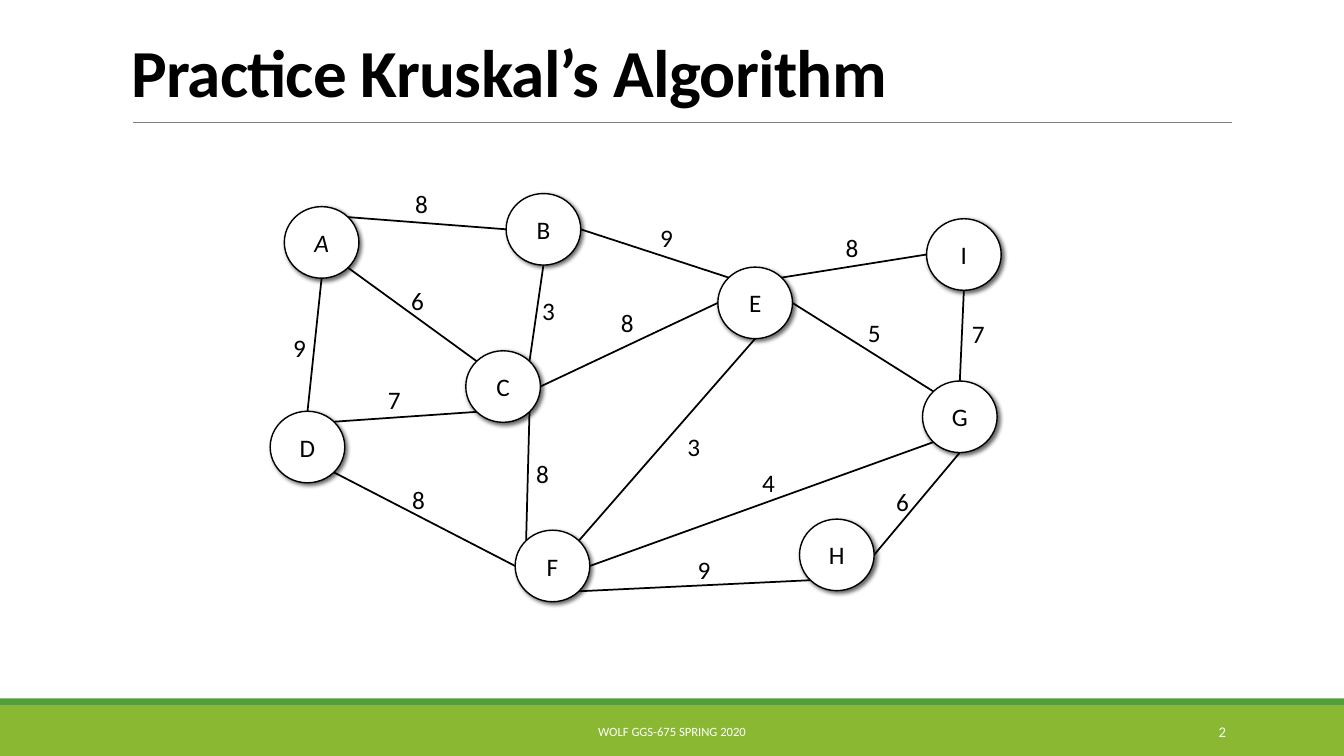
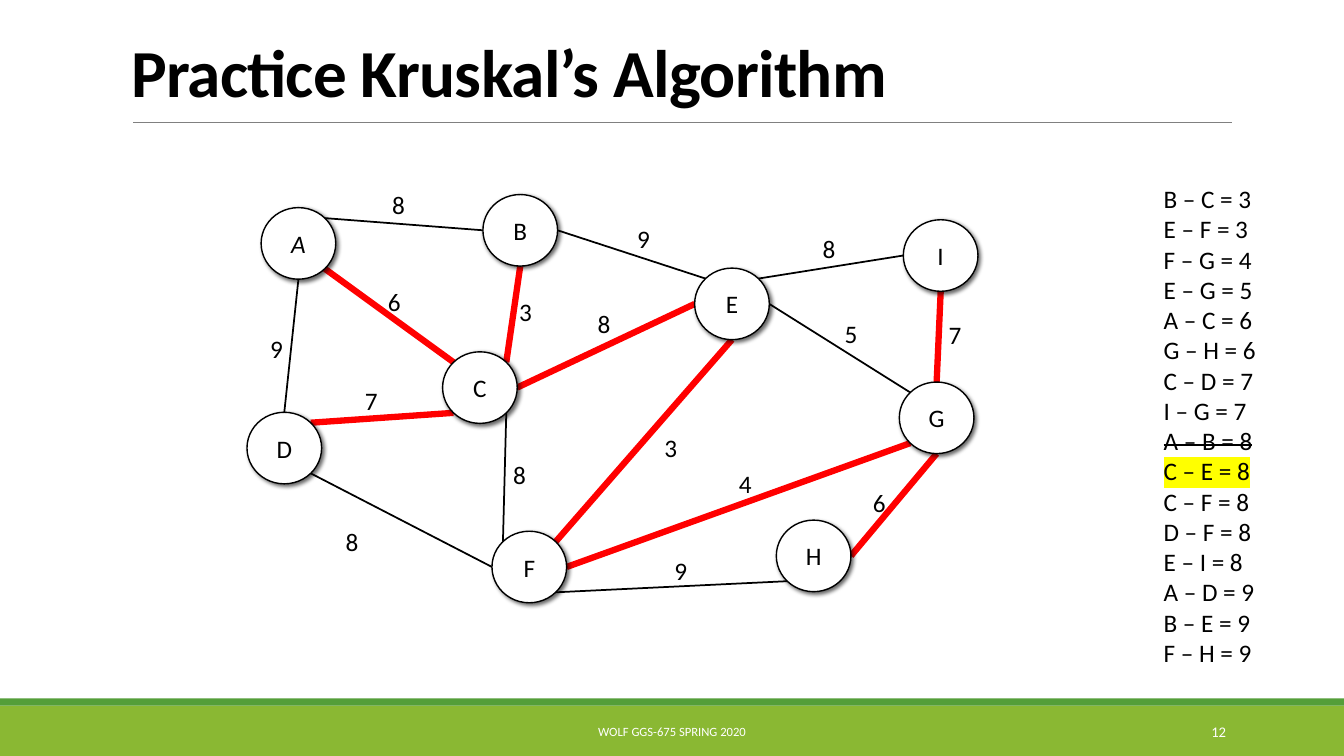
"""Build two slides that practise Kruskal's algorithm on a weighted graph."""
import math
from dataclasses import dataclass

import pptx
import pptx.dml.color
import pptx.enum.shapes
import pptx.enum.text
import pptx.oxml.ns
import pptx.util
from lxml import etree

Inches = pptx.util.Inches
Pt = pptx.util.Pt
qn = pptx.oxml.ns.qn
ALIGN = pptx.enum.text.PP_ALIGN
ANCHOR = pptx.enum.text.MSO_ANCHOR
SHAPE = pptx.enum.shapes.MSO_SHAPE


@dataclass(frozen=True)
class Theme:
    font: str = "Calibri"
    ink: str = "000000"
    paper: str = "FFFFFF"
    band: str = "8AB833"
    stripe: str = "549E39"
    rule: str = "808080"
    tree: str = "FF0000"
    mark: str = "FFFF00"
    title_size: float = 48
    text_size: float = 18
    footer_size: float = 9
    number_size: float = 10.5
    rule_width: float = 0.5
    node_width: float = 1
    edge_width: float = 1.25
    tree_width: float = 4.5


TITLE = "Practice Kruskal’s Algorithm"
FOOTER = "WOLF GGS-675 SPRING 2020"
NODE_W, NODE_H = 0.74, 0.71
SITES = ["t", "tl", "l", "bl", "b", "br", "r", "tr"]

NODES = {
    "A": (2.82, 2.05), "B": (5.02, 1.92), "C": (4.62, 3.48),
    "D": (2.68, 4.08), "E": (7.12, 2.65), "F": (5.11, 5.26),
    "G": (9.15, 3.78), "H": (7.93, 5.15), "I": (9.19, 2.17),
}
EDGES = [
    ("AD", "b", "t", 9, (2.81, 3.25)),
    ("AB", "tr", "l", 8, (4.02, 1.82)),
    ("AC", "br", "tl", 6, (3.98, 2.78)),
    ("BC", "b", "tr", 3, (5.28, 2.88)),
    ("DC", "tr", "bl", 7, (3.75, 3.76)),
    ("DF", "br", "l", 8, (3.99, 4.76)),
    ("BE", "r", "tl", 9, (6.45, 2.16)),
    ("CF", "br", "tl", 8, (5.22, 4.5)),
    ("CE", "r", "l", 8, (6.06, 3)),
    ("FE", "tr", "b", 3, (6.72, 4.23)),
    ("EG", "r", "tl", 5, (8.51, 3.1)),
    ("FG", "r", "bl", 4, (7.46, 4.59)),
    ("EI", "tr", "l", 8, (8.29, 2.26)),
    ("IG", "b", "t", 7, (9.54, 3.11)),
    ("GH", "b", "r", 6, (8.79, 4.78)),
    ("FH", "br", "bl", 9, (6.82, 5.45)),
]
TREE = {"AC", "BC", "DC", "CE", "FE", "FG", "IG", "GH"}
SORTED_EDGES = [
    "B – C = 3", "E – F = 3", "F – G = 4", "E – G = 5",
    "A – C = 6", "G – H = 6", "C – D = 7", "I – G = 7",
    "A – B = 8", "C – E = 8", "C – F = 8", "D – F = 8",
    "E – I = 8", "A – D = 9", "B – E = 9", "F – H = 9",
]


def rgb(color):
    return pptx.dml.color.RGBColor.from_string(color)


def site_point(left, top, site):
    angle = math.radians(90 + 45 * SITES.index(site))
    return (left + NODE_W / 2 * (1 + math.cos(angle)),
            top + NODE_H / 2 * (1 - math.sin(angle)))


class Deck:
    def __init__(self, theme):
        self.theme = theme
        self.prs = pptx.Presentation()
        self.prs.slide_width = Inches(13.33)
        self.prs.slide_height = Inches(7.5)
        self.slide = None

    def place(self, sp, left, top, width, height):
        sp.left, sp.top = Inches(left), Inches(top)
        sp.width, sp.height = Inches(width), Inches(height)

    def run(self, p, text, size, color, bold=False, italic=False):
        r = p.add_run()
        r.text = text
        r.font.name = self.theme.font
        r.font.size = Pt(size)
        r.font.bold = bold
        r.font.italic = italic
        r.font.color.rgb = rgb(color)
        return r

    def frame(self, sp, anchor, wrap=True):
        tf = sp.text_frame
        tf.auto_size = pptx.enum.text.MSO_AUTO_SIZE.NONE
        tf.word_wrap = wrap
        tf.vertical_anchor = anchor
        return tf

    def add_slide(self, number, with_list=False):
        layout = self.prs.slide_layouts[1 if with_list else 5]
        self.slide = self.prs.slides.add_slide(layout)
        th = self.theme
        self.band(7, 0.5, th.band)
        self.band(6.93, 0.07, th.stripe)
        self.line((1.32, 1.21), (12.22, 1.21), th.rule, th.rule_width)
        self.title(TITLE)
        self.text(FOOTER, (4.03, 7.06, 5.27, 0.4), th.footer_size, th.paper,
                  ALIGN.CENTER, ANCHOR.MIDDLE)
        self.text(number, (10.83, 7.06, 1.43, 0.4), th.number_size, th.paper,
                  ALIGN.RIGHT, ANCHOR.MIDDLE)

    def band(self, top, height, color):
        sp = self.slide.shapes.add_shape(
            SHAPE.RECTANGLE, 0, Inches(top), self.prs.slide_width, Inches(height))
        sp.shadow.inherit = False
        sp.fill.solid()
        sp.fill.fore_color.rgb = rgb(color)
        sp.line.fill.background()

    def title(self, text):
        sp = self.slide.shapes.title
        self.place(sp, 1.2, 0.34, 11, 0.81)
        p = self.frame(sp, ANCHOR.BOTTOM).paragraphs[0]
        p.alignment = ALIGN.LEFT
        p.line_spacing = 0.85
        r = self.run(p, text, self.theme.title_size, self.theme.ink, bold=True)
        r.font._element.set("spc", "-50")

    def text(self, text, box, size, color, align=ALIGN.LEFT,
             anchor=ANCHOR.TOP, wrap=True):
        sp = self.slide.shapes.add_textbox(*map(Inches, box))
        p = self.frame(sp, anchor, wrap).paragraphs[0]
        p.alignment = align
        self.run(p, text, size, color)

    def line(self, start, end, color, width):
        cxn = self.slide.shapes.add_connector(
            pptx.enum.shapes.MSO_CONNECTOR.STRAIGHT, *map(Inches, start + end))
        cxn.line.color.rgb = rgb(color)
        cxn.line.width = Pt(width)
        etree.SubElement(cxn.element.spPr, qn("a:effectLst"))
        return cxn

    def node(self, name, left, top):
        th = self.theme
        sp = self.slide.shapes.add_shape(
            SHAPE.OVAL, *map(Inches, (left, top, NODE_W, NODE_H)))
        sp.fill.solid()
        sp.fill.fore_color.rgb = rgb(th.paper)
        sp.line.color.rgb = rgb(th.ink)
        sp.line.width = Pt(th.node_width)
        sp.shadow.inherit = False
        effects = sp.element.spPr.find(qn("a:effectLst"))
        shadow = etree.SubElement(
            effects, qn("a:outerShdw"), blurRad=str(Pt(3)), dist=str(Pt(2)),
            dir="2700000", algn="ctr", rotWithShape="0")
        color = etree.SubElement(shadow, qn("a:srgbClr"), val=th.ink)
        etree.SubElement(color, qn("a:alpha"), val="60000")
        p = self.frame(sp, ANCHOR.MIDDLE).paragraphs[0]
        p.alignment = ALIGN.CENTER
        self.run(p, name, th.text_size, th.ink, italic=name == "A")
        return sp

    def edge(self, ends, sites, points, in_tree):
        th = self.theme
        color, width = ((th.tree, th.tree_width) if in_tree
                        else (th.ink, th.edge_width))
        cxn = self.line(*points, color, width)
        props = cxn.element.find(".//" + qn("p:cNvCxnSpPr"))
        for tag, sp, site in zip(("a:stCxn", "a:endCxn"), ends, sites):
            etree.SubElement(props, qn(tag), id=str(sp.shape_id),
                             idx=str(SITES.index(site)))
        return cxn

    def graph(self, dx=0, dy=0, tree=(), moved_labels=None):
        th = self.theme
        spots = {name: (x + dx, y + dy) for name, (x, y) in NODES.items()}
        nodes = {name: self.node(name, *spot) for name, spot in spots.items()}
        first_node = nodes["A"].element
        for pair, start, end, weight, label in EDGES:
            points = [site_point(*spots[name], site)
                      for name, site in zip(pair, (start, end))]
            cxn = self.edge([nodes[name] for name in pair], (start, end),
                            points, pair in tree)
            first_node.addprevious(cxn.element)
            x, y = (moved_labels or {}).get(pair, label)
            self.text(str(weight), (x + dx, y + dy, 0.33, 0.4),
                      th.text_size, th.ink, wrap=False)

    def edge_list(self, items, struck, marked):
        th = self.theme
        sp = self.slide.placeholders[1]
        self.place(sp, 11.44, 1.77, 1.3, 4.95)
        tf = self.frame(sp, ANCHOR.TOP)
        for i, item in enumerate(items):
            p = tf.add_paragraph() if i else tf.paragraphs[0]
            p.alignment = ALIGN.LEFT
            p.space_before = Pt(0)
            props = p._p.get_or_add_pPr()
            props.set("marL", "0")
            props.set("indent", "0")
            etree.SubElement(props, qn("a:buNone"))
            font = self.run(p, item, th.text_size, th.ink).font._element
            if item == struck:
                font.set("strike", "sngStrike")
            if item == marked:
                mark = etree.Element(qn("a:highlight"))
                etree.SubElement(mark, qn("a:srgbClr"), val=th.mark)
                font.find(qn("a:latin")).addprevious(mark)


def main():
    deck = Deck(Theme())
    deck.add_slide("2")
    deck.graph()
    deck.add_slide("12", with_list=True)
    deck.graph(-0.23, 0.01, TREE, {"DF": (3.56, 5.16)})
    deck.edge_list(SORTED_EDGES, struck="A – B = 8", marked="C – E = 8")
    deck.prs.save("out.pptx")


if __name__ == "__main__":
    main()
